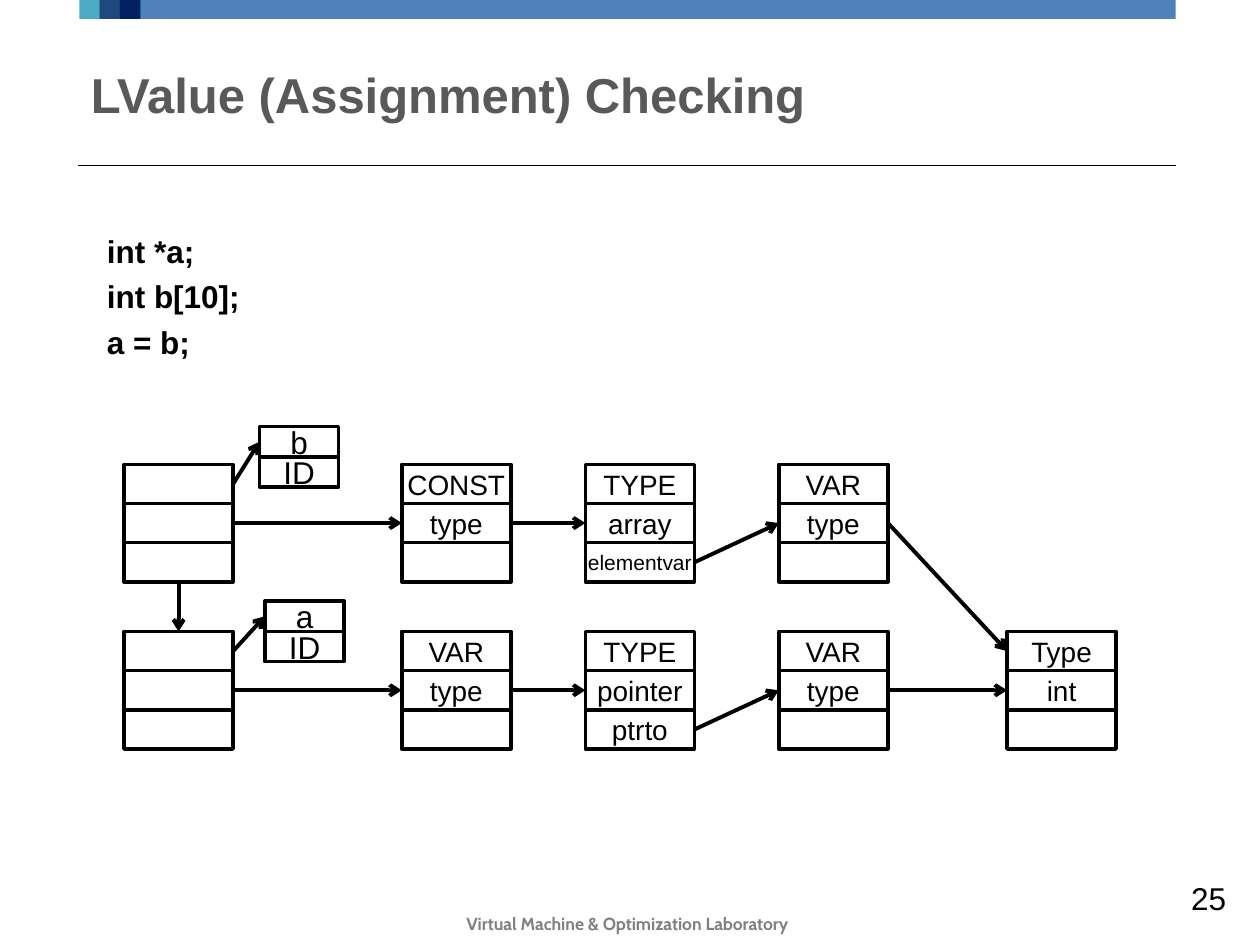
from pptx import Presentation
from pptx.dml.color import RGBColor
from pptx.enum.shapes import MSO_CONNECTOR, MSO_SHAPE
from pptx.enum.text import MSO_ANCHOR, PP_ALIGN
from pptx.oxml.ns import qn
from pptx.util import Cm, Pt
from lxml.etree import SubElement

COLORS = {
    "black": "000000", "white": "FFFFFF", "title": "595959", "footer": "808080",
    "bar": "4F81BD", "navy": "002060", "blue": "1F497D", "teal": "4BACC6",
}
TOP, BOTTOM_SITE, LEFT, RIGHT = 0, 2, 1, 3  # connection sites of a rectangle


class SlideBuilder:
    def __init__(self, slide, font="Arial"):
        self.slide = slide
        self.font = font

    def color(self, name):
        return RGBColor.from_string(COLORS[name])

    def place(self, shape, left, top, width, height):
        shape.left, shape.top = Cm(left), Cm(top)
        shape.width, shape.height = Cm(width), Cm(height)

    def format_text(self, shape, size, color="black", bold=False,
                    align=PP_ALIGN.LEFT, font=None):
        for paragraph in shape.text_frame.paragraphs:
            paragraph.alignment = align
            for run in paragraph.runs:
                run.font.name = font or self.font
                run.font.size = Pt(size)
                run.font.bold = bold
                run.font.color.rgb = self.color(color)

    def title(self, text, box):
        shape = self.slide.shapes.title
        self.place(shape, *box)
        shape.text_frame.text = text
        shape.text_frame.vertical_anchor = MSO_ANCHOR.MIDDLE
        self.format_text(shape, 28, "title", bold=True)

    def body(self, lines, box):
        shape = self.slide.placeholders[1]
        self.place(shape, *box)
        shape.text_frame.text = "\n".join(lines)
        self.format_text(shape, 18, bold=True)
        for paragraph in shape.text_frame.paragraphs:
            paragraph.space_before = Pt(4.3)
            properties = paragraph._p.get_or_add_pPr()
            properties.set("marL", "0")
            properties.set("indent", "0")
            SubElement(properties, qn("a:buNone"))

    def text(self, text, box, size, wrap=True, anchor=MSO_ANCHOR.TOP, **style):
        shape = self.slide.shapes.add_textbox(*map(Cm, box))
        shape.text_frame.text = text
        shape.text_frame.word_wrap = wrap
        shape.text_frame.vertical_anchor = anchor
        self.format_text(shape, size, **style)

    def rectangle(self, box, fill, outlined=False, shapes=None):
        shapes = shapes or self.slide.shapes
        shape = shapes.add_shape(MSO_SHAPE.RECTANGLE, *map(Cm, box))
        shape.shadow.inherit = False
        shape.fill.solid()
        shape.fill.fore_color.rgb = self.color(fill)
        if outlined:
            shape.line.color.rgb = self.color("black")
            shape.line.width = Pt(2)
        else:
            shape.line.fill.background()
        return shape

    def record(self, left, top, labels, width=2.2, height=0.79, size=16):
        """A group of stacked cells; returns the cells."""
        group = self.slide.shapes.add_group_shape()
        cells = []
        for row, label in enumerate(labels):
            box = (left, top + row * height, width, height)
            cell = self.rectangle(box, "white", True, group.shapes)
            if label:
                cell.text_frame.text = label
                cell.text_frame.word_wrap = False
                cell.text_frame.vertical_anchor = MSO_ANCHOR.MIDDLE
                label_size = 12 if len(label) > 8 else size
                self.format_text(cell, label_size, align=PP_ALIGN.CENTER)
            cells.append(cell)
        return cells

    def line(self, start=(0, 0), end=(0, 0), width=0.75):
        connector = self.slide.shapes.add_connector(
            MSO_CONNECTOR.STRAIGHT, *map(Cm, start + end))
        connector.line.color.rgb = self.color("black")
        connector.line.width = Pt(width)
        SubElement(connector._element.spPr, qn("a:effectLst"))
        return connector

    def arrow(self, source, target, source_site=RIGHT, target_site=LEFT):
        connector = self.line(width=2.25)
        connector.begin_connect(source, source_site)
        connector.end_connect(target, target_site)
        SubElement(connector.line._get_or_add_ln(), qn("a:tailEnd"), type="arrow")


def main():
    presentation = Presentation()
    presentation.slide_width, presentation.slide_height = Cm(25.4), Cm(19.05)
    slide = presentation.slides.add_slide(presentation.slide_layouts[1])
    builder = SlideBuilder(slide)

    # Header bar, rule and footer
    builder.rectangle((1.65, -0.03, 22.05, 0.41), "bar")
    for index, color in enumerate(("teal", "blue", "navy")):
        builder.rectangle((1.6 + index * 0.41, -0.03, 0.41, 0.41), color)
    builder.line((1.58, 3.33), (23.7, 3.33))
    builder.text("Virtual Machine & Optimization Laboratory", (7.44, 18.29, 10.41, 0.69),
                 10, color="footer", bold=True, align=PP_ALIGN.CENTER, font="Cabin")
    builder.text("25", (23.7, 17.6, 1.27, 1.02), 18, wrap=False,
                 anchor=MSO_ANCHOR.MIDDLE, align=PP_ALIGN.RIGHT)

    # Title and code
    builder.title("LValue (Assignment) Checking", (1.58, 0.94, 22.12, 1.9))
    builder.body(["int *a;", "int b[10];", "a = b;"], (1.9, 4.55, 21.6, 13.54))

    # Records of the two declarations
    upper, lower = 9.36, 12.73
    entry_left, declaration_left, type_left, variable_left, base_left = (
        2.5, 8.1, 11.8, 15.7, 20.3)
    base = builder.record(base_left, lower, ["Type", "int", ""])
    declarations = [
        (upper, "b", (5.23, 8.6), "CONST", ["TYPE", "array", "elementvar"], base[0]),
        (lower, "a", (5.34, 12.12), "VAR", ["TYPE", "pointer", "ptrto"], base[1]),
    ]
    entries = []
    for top, name, name_corner, kind, type_labels, base_cell in declarations:
        entry = builder.record(entry_left, top, ["", "", ""])
        identifier = builder.record(*name_corner, [name, "ID"], 1.6, 0.61, 18)
        declaration = builder.record(declaration_left, top, [kind, "type", ""])
        type_record = builder.record(type_left, top, type_labels)
        variable = builder.record(variable_left, top, ["VAR", "type", ""])
        entries.append(entry)

        # Links along the row
        builder.arrow(entry[0], identifier[0])
        builder.arrow(entry[1], declaration[1])
        builder.arrow(declaration[1], type_record[1])
        builder.arrow(type_record[2], variable[1])
        builder.arrow(variable[1], base_cell)

    # Link from the upper entry to the lower one
    builder.arrow(entries[0][2], entries[1][0], BOTTOM_SITE, TOP)

    presentation.save("out.pptx")


if __name__ == "__main__":
    main()
